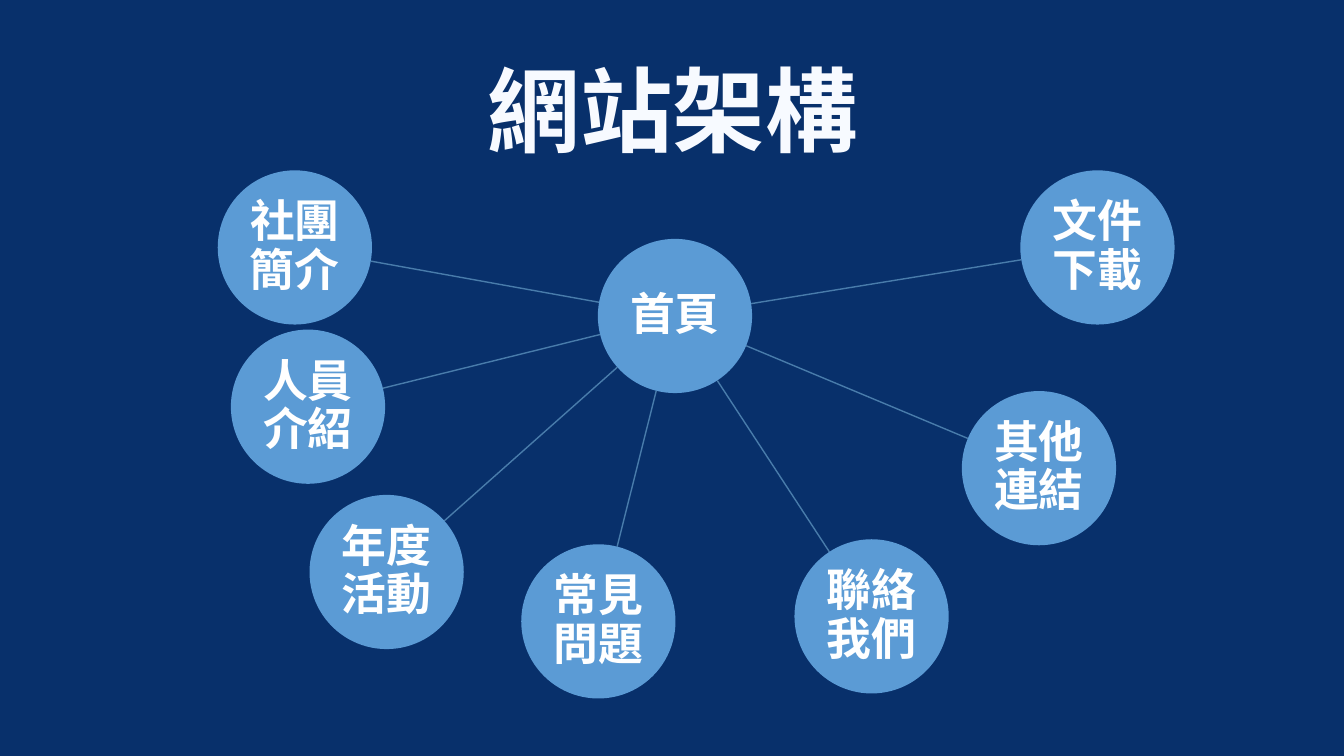
from math import hypot

from lxml.etree import SubElement
from pptx import Presentation
from pptx.dml.color import RGBColor
from pptx.enum.shapes import MSO_CONNECTOR, MSO_SHAPE
from pptx.enum.text import MSO_ANCHOR, PP_ALIGN
from pptx.oxml.ns import qn
from pptx.util import Inches, Pt

NAVY = RGBColor(0x08, 0x30, 0x6B)
BLUE = RGBColor(0x5B, 0x9B, 0xD5)
SPOKE_BLUE = RGBColor(0x49, 0x7C, 0xAB)
TITLE_WHITE = RGBColor(0xF7, 0xFA, 0xFF)
WHITE = RGBColor(0xFF, 0xFF, 0xFF)

FONT = "Noto Sans CJK SC"
SLIDE_WIDTH, SLIDE_HEIGHT = 13.33, 7.5
DIAMETER = 1.53
TEXT_INSET = 0.02

# Circle centres in inches
HOME = ("首頁", 6.695, 3.135)
SECTIONS = [
    ("社團簡介", 2.925, 2.455),
    ("人員介紹", 3.055, 4.035),
    ("年度活動", 3.835, 5.675),
    ("常見問題", 5.935, 6.165),
    ("聯絡我們", 8.645, 6.115),
    ("其他連結", 10.305, 4.645),
    ("文件下載", 10.885, 2.455),
]


def write_text(frame, text, size, color, align=PP_ALIGN.LEFT, spacing=1.0):
    para = frame.paragraphs[0]
    para.alignment = align
    para.line_spacing = spacing
    span = para.add_run()
    span.text = text
    span.font.size = Pt(size)
    span.font.bold = True
    span.font.color.rgb = color
    span.font.name = FONT
    SubElement(span.font._element, qn("a:ea")).set("typeface", FONT)


def add_title(page, text, left, top, width, height):
    box = page.shapes.add_textbox(Inches(left), Inches(top), Inches(width), Inches(height))
    box.text_frame.word_wrap = False
    write_text(box.text_frame, text, size=66, color=TITLE_WHITE)


def add_circle(page, text, center_x, center_y):
    circle = page.shapes.add_shape(
        MSO_SHAPE.OVAL,
        Inches(center_x - DIAMETER / 2), Inches(center_y - DIAMETER / 2),
        Inches(DIAMETER), Inches(DIAMETER),
    )
    circle.shadow.inherit = False
    circle.fill.solid()
    circle.fill.fore_color.rgb = BLUE
    circle.line.fill.background()
    frame = circle.text_frame
    frame.word_wrap = True
    frame.vertical_anchor = MSO_ANCHOR.MIDDLE
    frame.margin_left = frame.margin_right = Inches(TEXT_INSET)
    frame.margin_top = frame.margin_bottom = Inches(TEXT_INSET)
    write_text(frame, text, size=32, color=WHITE, align=PP_ALIGN.CENTER, spacing=0.9)


def add_spoke(page, start, end):
    """Draw a line between the rims of the circles centred on start and end."""
    run, rise = end[0] - start[0], end[1] - start[1]
    share = DIAMETER / 2 / hypot(run, rise)
    spoke = page.shapes.add_connector(
        MSO_CONNECTOR.STRAIGHT,
        Inches(start[0] + run * share), Inches(start[1] + rise * share),
        Inches(end[0] - run * share), Inches(end[1] - rise * share),
    )
    spoke.line.color.rgb = SPOKE_BLUE
    spoke.line.width = Pt(1)
    SubElement(spoke._element.spPr, qn("a:effectLst"))


def add_site_map(page, home, sections):
    add_circle(page, *home)
    for name, *center in sections:
        add_spoke(page, home[1:], center)
        add_circle(page, name, *center)


def main():
    deck = Presentation()
    deck.slide_width, deck.slide_height = Inches(SLIDE_WIDTH), Inches(SLIDE_HEIGHT)
    page = deck.slides.add_slide(deck.slide_layouts[6])
    page.background.fill.solid()
    page.background.fill.fore_color.rgb = NAVY
    add_title(page, "網站架構", left=4.74, top=0.48, width=3.9, height=1.21)
    add_site_map(page, HOME, SECTIONS)
    deck.save("out.pptx")


if __name__ == "__main__":
    main()
